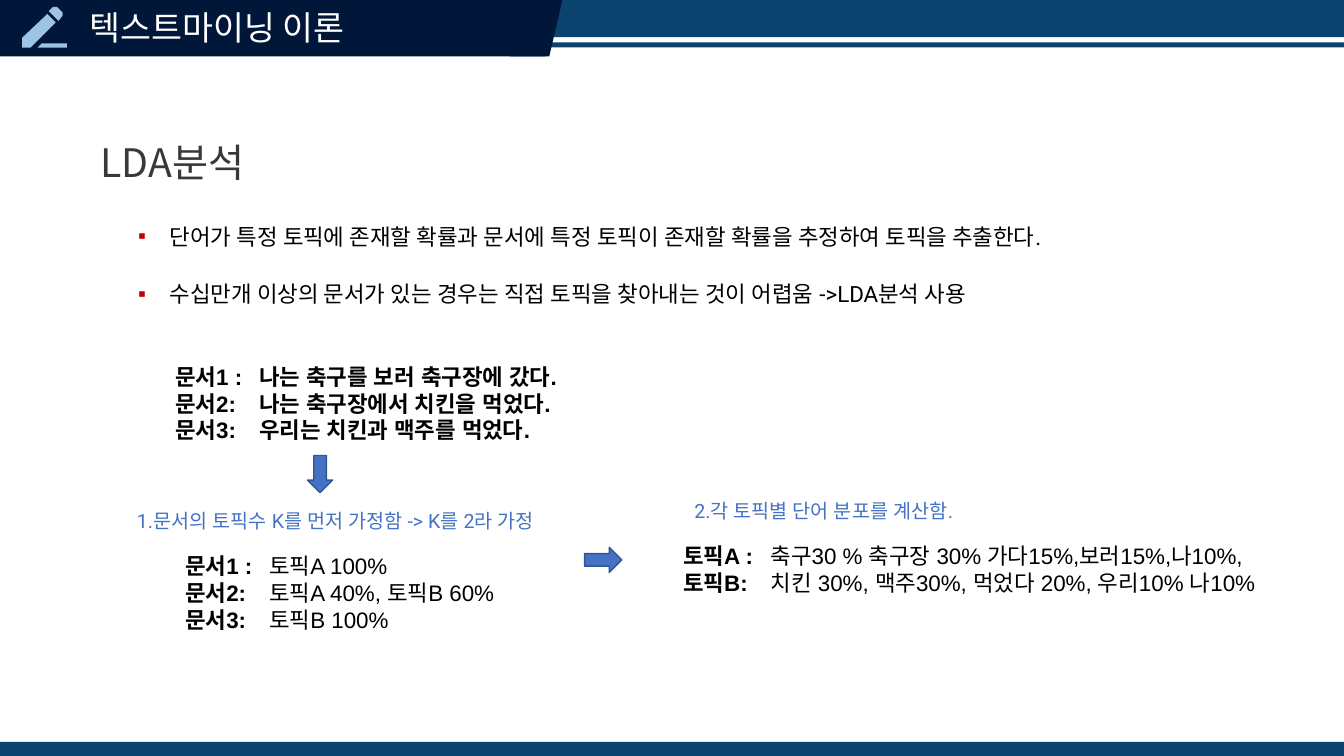
from lxml import etree
from pptx import Presentation
from pptx.dml.color import RGBColor
from pptx.enum.shapes import MSO_SHAPE
from pptx.enum.text import MSO_ANCHOR
from pptx.oxml.ns import qn
from pptx.util import Pt

RECT = MSO_SHAPE.RECTANGLE
SLANT = MSO_SHAPE.PARALLELOGRAM
DOWN_ARROW = MSO_SHAPE.DOWN_ARROW
MIDDLE, TOP = MSO_ANCHOR.MIDDLE, MSO_ANCHOR.TOP

COLORS = {
    "bar": "0B426E", "tab": "001739", "pencil": "9DC3E6", "white": "FFFFFF",
    "title": "3B3838", "text": "000000", "bullet": "C00000",
    "accent": "4472C4", "accent_line": "325491",
}
KOREAN, BODY, EXAMPLE = "Noto Sans CJK KR", "Roboto", "Arial"
W, H = 960, 540


def rgb(name):
    return RGBColor.from_string(COLORS[name])


def paint(sp, fill, line=None):
    sp.shadow.inherit = False
    sp.fill.solid()
    sp.fill.fore_color.rgb = rgb(fill)
    if line:
        sp.line.color.rgb = rgb(line)
        sp.line.width = Pt(1)
    else:
        sp.line.fill.background()
    return sp


def add_block(slide, kind, x, y, w, h, fill, line=None):
    sp = slide.shapes.add_shape(kind, Pt(x), Pt(y), Pt(w), Pt(h))
    return paint(sp, fill, line)


def add_text(slide, x, y, w, h, lines, size=16, font=BODY, color="text",
             anchor=TOP, spacing=None, bullet=False, tab=None):
    """Each line is a list of (text, bold) runs."""
    tf = slide.shapes.add_textbox(Pt(x), Pt(y), Pt(w), Pt(h)).text_frame
    tf.word_wrap = True
    tf.vertical_anchor = anchor
    for i, runs in enumerate(lines):
        p = tf.paragraphs[0] if i == 0 else tf.add_paragraph()
        if spacing:
            p.line_spacing = spacing
        for text, bold in runs:
            r = p.add_run()
            r.text = text
            r.font.size = Pt(size)
            r.font.name = font
            r.font.bold = bold
            r.font.color.rgb = rgb(color)
            etree.SubElement(r.font._element, qn("a:ea"), typeface=font)
        if bullet:
            add_bullet(p)
        if tab:
            tabs = etree.SubElement(p._p.get_or_add_pPr(), qn("a:tabLst"))
            etree.SubElement(tabs, qn("a:tab"), pos=str(Pt(tab)), algn="l")


def add_bullet(p):
    pPr = p._p.get_or_add_pPr()
    pPr.set("marL", str(Pt(22.5)))
    pPr.set("indent", str(-Pt(22.5)))
    color = etree.SubElement(pPr, qn("a:buClr"))
    etree.SubElement(color, qn("a:srgbClr"), val=COLORS["bullet"])
    etree.SubElement(pPr, qn("a:buFont"), typeface="Arial")
    etree.SubElement(pPr, qn("a:buChar"), char="▪")


def add_pencil(slide, x, y):
    outlines = [
        [(0, 22.5), (0, 29), (6, 29), (24, 11), (18, 5)],
        [(28.8, 6.5), (29.3, 5.5), (28.8, 4.3), (24.8, 0.5),
         (23.5, 0), (22.3, 0.5), (19.4, 3.4), (25.6, 9.6)],
        [(14.4, 26), (11.3, 29), (32.5, 29), (32.5, 26)],
    ]
    fb = slide.shapes.build_freeform(*outlines[0][0], scale=float(Pt(1)))
    for i, points in enumerate(outlines):
        if i:
            fb.move_to(*points[0])
        fb.add_line_segments(points[1:], close=True)
    paint(fb.convert_to_shape(Pt(x), Pt(y)), "pencil")


def add_header(slide, x, y, w, h):
    # Stripes, then the slanted tab with icon and section name
    add_block(slide, RECT, x, y + 30.2, w, 3.6, "bar")
    add_block(slide, RECT, x, y, w, 26.6, "bar")
    add_block(slide, RECT, x, y, 389.5, h, "tab")
    add_block(slide, SLANT, x + 364.3, y, 37.4, h, "tab")
    add_text(slide, x + 56.9, y, 484, h + 1.4, [[("텍스트마이닝 이론", False)]],
             size=24, font=KOREAN, color="white", anchor=MIDDLE, spacing=0.9)
    add_pencil(slide, x + 15.8, y + 5)


def add_footer(slide, x, y, w, h):
    add_block(slide, RECT, x, y, w, h, "bar")


def add_intro(slide, x, y, w, h):
    add_text(slide, x, y, 134.6, 41, [[("LDA분석", False)]],
             size=28, font=KOREAN, color="title")
    bullets = [
        "단어가 특정 토픽에 존재할 확률과 문서에 특정 토픽이 존재할 확률을 추정하여 토픽을 추출한다.",
        "수십만개 이상의 문서가 있는 경우는 직접 토픽을 찾아내는 것이 어렵움 ->LDA분석 사용",
    ]
    for i, text in enumerate(bullets):
        add_text(slide, x + 26.8, y + 60.5 + 41 * i, w - 26.8, 26.6,
                 [[(text, False)]], bullet=True)


def add_labelled(slide, x, y, w, h, rows, bold=False, tab=60):
    lines = [[(label + "\t", True), (text, bold)] for label, text in rows]
    add_text(slide, x, y, w, h, lines, font=EXAMPLE, tab=tab)


def add_step(slide, x, y, w, h, heading):
    add_text(slide, x, y, w, h, [[(heading, False)]], size=14, color="accent")


def add_arrow(slide, x, y, rotation=0):
    sp = add_block(slide, DOWN_ARROW, x, y, 18, 26.6, "accent", "accent_line")
    sp.rotation = rotation


def add_example(slide, x, y, w, h):
    # Sample documents
    add_labelled(slide, x + 27.4, y, 314.6, 65.5, [
        ("문서1 :", "나는 축구를 보러 축구장에 갔다."),
        ("문서2:", "나는 축구장에서 치킨을 먹었다."),
        ("문서3:", "우리는 치킨과 맥주를 먹었다."),
    ], bold=True)
    add_arrow(slide, x + 128.9, y + 69.8)

    # Step 1: topics per document
    add_step(slide, x, y + 104.4, 313.2, 24.5,
             "1.문서의 토픽수 K를 먼저 가정함 -> K를 2라 가정")
    add_labelled(slide, x + 34.6, y + 135.4, 244.8, 65.5, [
        ("문서1 :", "토픽A 100%"),
        ("문서2:", "토픽A 40%, 토픽B 60%"),
        ("문서3:", "토픽B 100%"),
    ])
    add_arrow(slide, x + 331.2, y + 131, rotation=270)

    # Step 2: words per topic
    add_step(slide, x + 398.2, y + 97.2, 220, 24.5,
             "2.각 토픽별 단어 분포를 계산함.")
    add_labelled(slide, x + 390.2, y + 128.2, w - 390.2, 46, [
        ("토픽A :", "축구30 % 축구장 30% 가다15%,보러15%,나10%,"),
        ("토픽B:", "치킨 30%, 맥주30%, 먹었다 20%, 우리10% 나10%"),
    ], tab=62.5)


def main():
    prs = Presentation()
    prs.slide_width, prs.slide_height = Pt(W), Pt(H)
    slide = prs.slides.add_slide(prs.slide_layouts[6])
    add_footer(slide, 0, H - 10, W, 10)
    add_header(slide, 0, 0, W, 40.3)
    add_intro(slide, 64.8, 95, 742, 130)
    add_example(slide, 90.7, 255.6, 826.6, 201)
    prs.save("out.pptx")


if __name__ == "__main__":
    main()
